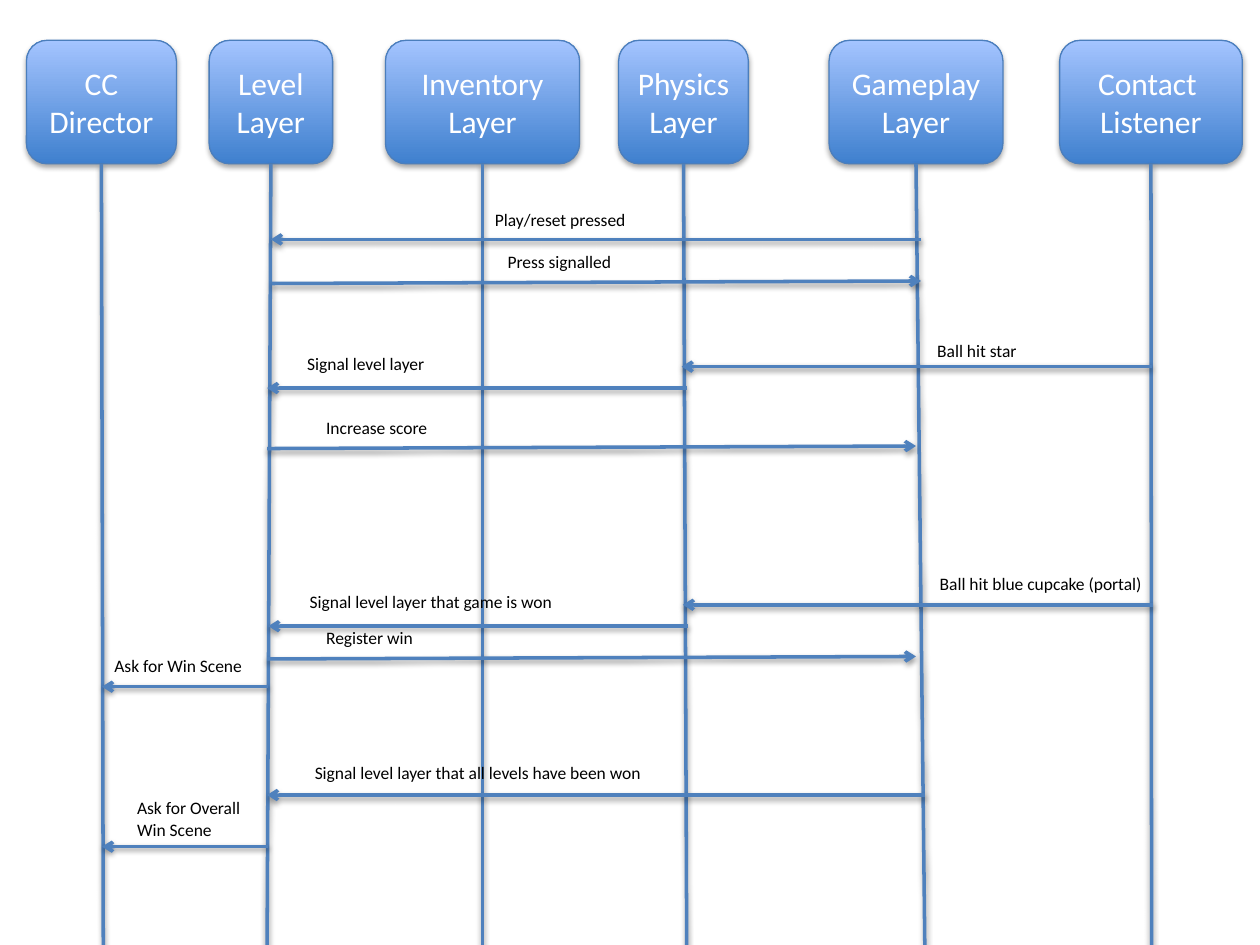
from lxml.etree import SubElement
from pptx import Presentation
from pptx.dml.color import RGBColor
from pptx.enum.shapes import MSO_CONNECTOR, MSO_SHAPE
from pptx.enum.text import MSO_ANCHOR, MSO_AUTO_SIZE, PP_ALIGN
from pptx.oxml.ns import qn
from pptx.util import Inches, Pt

COLORS = {
    "box_bottom": "3F80CE",
    "box_top": "A4C4FF",
    "box_edge": "4B7EBC",
    "line": "4F81BD",
    "box_text": "FFFFFF",
    "label": "000000",
    "shadow": "000000",
}
FONT = "Calibri"
SLIDE_WIDTH, SLIDE_HEIGHT = 10, 7.5
BOX_TOP, BOX_HEIGHT = 0.32, 0.98
LABEL_WIDTH = 2.96

# name lines, left, width, lifeline foot
PARTICIPANTS = [
    (["CC Director"], 0.21, 1.19, 0.82),
    (["Level Layer"], 1.66, 0.98, 2.12),
    (["Inventory Layer"], 3.06, 1.54, 3.83),
    (["Physics Layer"], 4.91, 1.03, 5.45),
    (["Gameplay", "Layer"], 6.58, 1.38, 7.34),
    (["Contact ", "Listener"], 8.41, 1.45, 9.14),
]

# label lines, label left, top and height, arrow start, arrow end
MESSAGES = [
    (["Play/reset pressed"], (3.83, 1.61, 0.27), (7.31, 1.9), (2.15, 1.9)),
    (["Press signalled"], (3.93, 1.94, 0.44), (2.16, 2.25), (7.31, 2.23)),
    (["Ball hit star"], (7.34, 2.65, 0.27), (9.14, 2.91), (5.41, 2.91)),
    (["Signal level layer"], (2.34, 2.75, 0.44), (5.45, 3.08), (2.12, 3.08)),
    (["Increase score"], (2.49, 3.26, 0.44), (2.12, 3.56), (7.27, 3.54)),
    (["Ball hit blue cupcake (portal)"], (7.36, 4.5, 0.27), (9.15, 4.8), (5.42, 4.8)),
    (["Signal level layer that game is won"], (2.36, 4.64, 0.44), (5.46, 4.97), (2.13, 4.97)),
    (["Register win"], (2.49, 4.93, 0.44), (2.12, 5.23), (7.27, 5.21)),
    (["Ask for Win Scene"], (0.81, 5.15, 0.44), (2.13, 5.45), (0.81, 5.45)),
    (["Signal level layer that all levels have been won"], (2.4, 6, 0.44), (7.34, 6.31), (2.12, 6.31)),
    (["Ask for Overall ", "Win Scene"], (0.99, 6.28, 0.61), (2.13, 6.72), (0.81, 6.72)),
]


def color(name):
    return RGBColor.from_string(COLORS[name])


def add_shadow(properties, distance, opacity):
    effects = SubElement(properties, qn("a:effectLst"))
    shadow = SubElement(effects, qn("a:outerShdw"), blurRad=str(Pt(3.1)),
                        dist=str(Pt(distance)), dir="5400000", rotWithShape="0")
    tint = SubElement(shadow, qn("a:srgbClr"), val=COLORS["shadow"])
    SubElement(tint, qn("a:alpha"), val=str(opacity * 1000))


def write(frame, lines, size, color_name, align):
    frame.word_wrap = True
    for index, line in enumerate(lines):
        paragraph = frame.paragraphs[0] if index == 0 else frame.add_paragraph()
        paragraph.alignment = align
        run = paragraph.add_run()
        run.text = line
        run.font.name = FONT
        run.font.size = Pt(size)
        run.font.color.rgb = color(color_name)


def add_participant(shapes, name, left, width):
    box = shapes.add_shape(MSO_SHAPE.ROUNDED_RECTANGLE, Inches(left), Inches(BOX_TOP),
                           Inches(width), Inches(BOX_HEIGHT))
    box.fill.gradient()
    box.fill.gradient_angle = 90
    for stop, color_name in zip(box.fill.gradient_stops, ("box_bottom", "box_top")):
        stop.color.rgb = color(color_name)
    box.line.color.rgb = color("box_edge")
    box.line.width = Pt(0.75)
    add_shadow(box.element.spPr, 1.8, 35)
    box.text_frame.vertical_anchor = MSO_ANCHOR.MIDDLE
    write(box.text_frame, name, 18, "box_text", PP_ALIGN.CENTER)


def add_line(shapes, start, end, arrow=False):
    line = shapes.add_connector(MSO_CONNECTOR.STRAIGHT, *map(Inches, start + end))
    line.line.color.rgb = color("line")
    line.line.width = Pt(2)
    if arrow:
        SubElement(line.line._get_or_add_ln(), qn("a:tailEnd"), type="arrow")
    add_shadow(line.element.spPr, 1.6, 38)


def add_label(shapes, lines, left, top, height):
    width = min(LABEL_WIDTH, SLIDE_WIDTH - left)
    label = shapes.add_textbox(*map(Inches, (left, top, width, height)))
    label.text_frame.auto_size = MSO_AUTO_SIZE.SHAPE_TO_FIT_TEXT
    write(label.text_frame, lines, 10, "label", PP_ALIGN.LEFT)


presentation = Presentation()
presentation.slide_width = Inches(SLIDE_WIDTH)
presentation.slide_height = Inches(SLIDE_HEIGHT)
shapes = presentation.slides.add_slide(presentation.slide_layouts[6]).shapes

for name, left, width, foot in PARTICIPANTS:
    add_participant(shapes, name, left, width)
for name, left, width, foot in PARTICIPANTS:
    add_line(shapes, (left + width / 2, BOX_TOP + BOX_HEIGHT), (foot, SLIDE_HEIGHT))
for lines, place, start, end in MESSAGES:
    add_line(shapes, start, end, arrow=True)
    add_label(shapes, lines, *place)

presentation.save("out.pptx")
